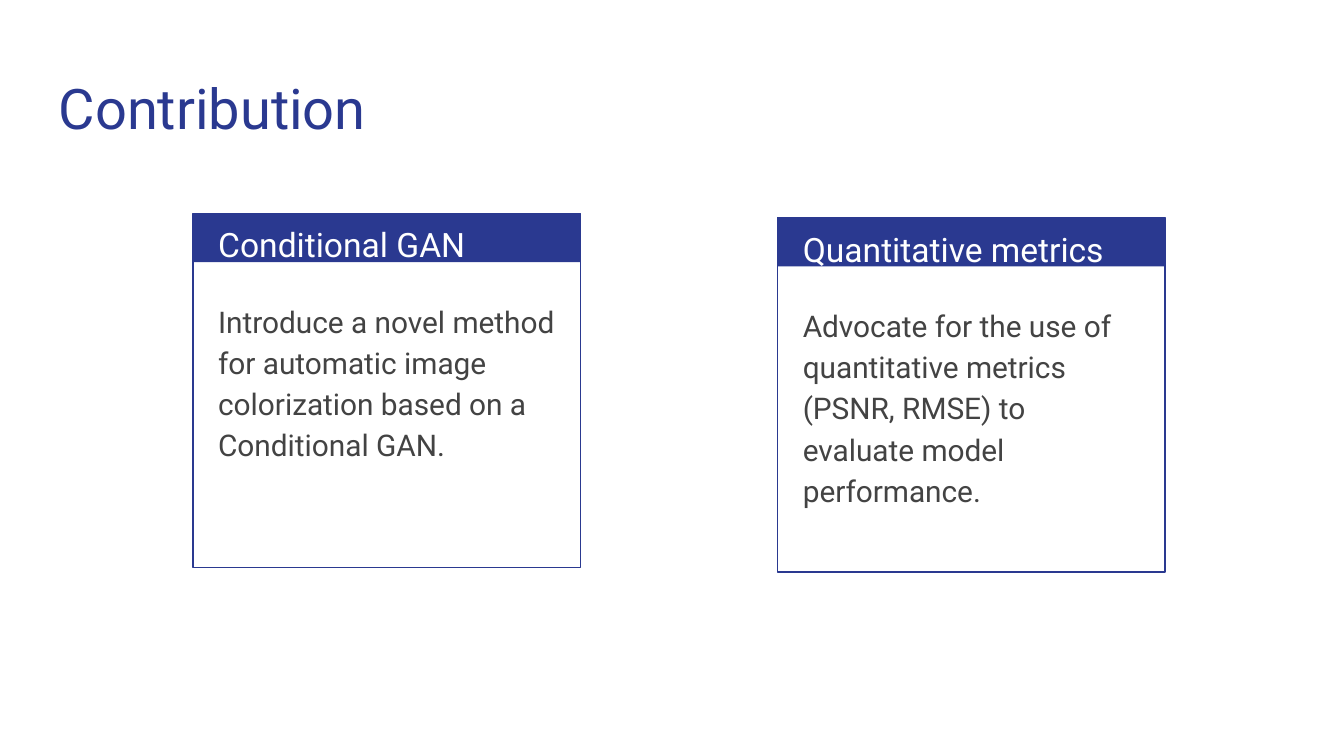
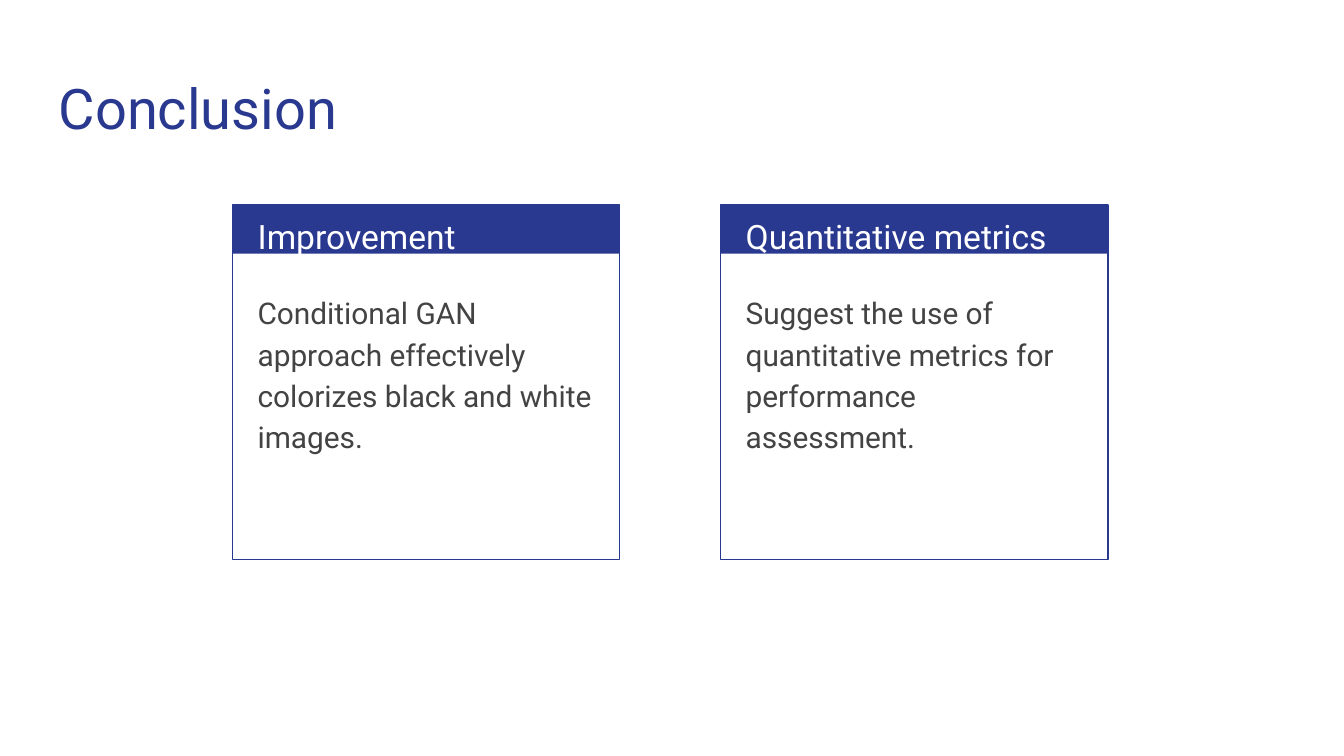
from dataclasses import dataclass

from pptx import Presentation as Deck
from pptx.dml.color import RGBColor as Rgb
from pptx.enum.shapes import MSO_SHAPE as Shape
from pptx.enum.text import MSO_ANCHOR as Anchor, MSO_AUTO_SIZE as Fit, PP_ALIGN as Align
from pptx.util import Emu, Pt

PX = 5715  # EMU in one px, 160 px to the inch


@dataclass(frozen=True)
class Theme:
    font: str = "Roboto"
    blue: str = "2A3990"
    white: str = "FFFFFF"
    gray: str = "434343"
    title: int = 30
    head: int = 18
    body: int = 16
    line: float = 0.75


def px(*sizes):
    return [Emu(size * PX) for size in sizes]


def write(frame, text, size, color, font, lead=1.0, after=0):
    """Fill a text frame with one left-aligned paragraph."""
    frame.word_wrap = True
    frame.auto_size = Fit.NONE
    frame.vertical_anchor = Anchor.TOP
    frame.margin_left, frame.margin_top, frame.margin_right, frame.margin_bottom = px(16, 16, 16, 16)
    par = frame.paragraphs[0]
    par.alignment = Align.LEFT
    par.line_spacing = lead
    par.space_before, par.space_after = Pt(0), Pt(after)
    run = par.add_run()
    run.text = text
    run.font.name = font
    run.font.size = Pt(size)
    run.font.color.rgb = Rgb.from_string(color)


class Pen:
    """Draws on the current slide in the style of the theme."""

    def __init__(self, theme):
        self.theme = theme
        self.deck = Deck()
        self.deck.slide_width, self.deck.slide_height = px(1600, 900)
        self.slide = None

    def page(self, title):
        theme = self.theme
        self.slide = self.deck.slides.add_slide(self.deck.slide_layouts[5])
        fill = self.slide.background.fill
        fill.solid()
        fill.fore_color.rgb = Rgb.from_string(theme.white)
        box = self.slide.shapes.title
        box.left, box.top, box.width, box.height = px(54, 72, 1491, 106)
        write(box.text_frame, title, theme.title, theme.blue, theme.font)

    def rect(self, home, x, y, w, h, fill=None, line=None):
        box = home.add_shape(Shape.RECTANGLE, *px(x, y, w, h))
        box.shadow.inherit = False
        if fill:
            box.fill.solid()
            box.fill.fore_color.rgb = Rgb.from_string(fill)
        else:
            box.fill.background()
        if line:
            box.line.color.rgb = Rgb.from_string(line)
            box.line.width = Pt(self.theme.line)
        else:
            box.line.fill.background()

    def text(self, text, x, y, w, h, **form):
        box = self.slide.shapes.add_textbox(*px(x, y, w, h))
        write(box.text_frame, text, font=self.theme.font, **form)

    def card(self, x, y, head, body, tall):
        theme = self.theme
        # Title band and outline
        group = self.slide.shapes.add_group_shape().shapes
        self.rect(group, x, y, 461, 58, fill=theme.blue)
        self.rect(group, x, y, 461, 422, line=theme.blue)
        # Heading and message
        self.text(head, x + 14, y - 10, 437, 80, size=theme.head, color=theme.white, lead=1.15)
        self.text(body, x + 14, y + 85, 434, tall, size=theme.body, color=theme.gray, lead=1.15, after=16)


# Each page: title, then cards as left, top, heading, message, message height
PAGES = [
    ("Contribution", [
        (230, 254, "Conditional GAN",
         "Introduce a novel method for automatic image colorization based on a Conditional GAN.", 216),
        (926, 259, "Quantitative metrics",
         "Advocate for the use of quantitative metrics (PSNR, RMSE) to evaluate model performance.", 166),
    ]),
    ("Conclusion", [
        (277, 244, "Improvement",
         "Conditional GAN approach effectively colorizes black and white images.", 216),
        (858, 244, "Quantitative metrics",
         "Suggest the use of quantitative metrics for performance assessment.", 166),
    ]),
]


def main():
    pen = Pen(Theme())
    for title, cards in PAGES:
        pen.page(title)
        for card in cards:
            pen.card(*card)
    pen.deck.save("out.pptx")


if __name__ == "__main__":
    main()
